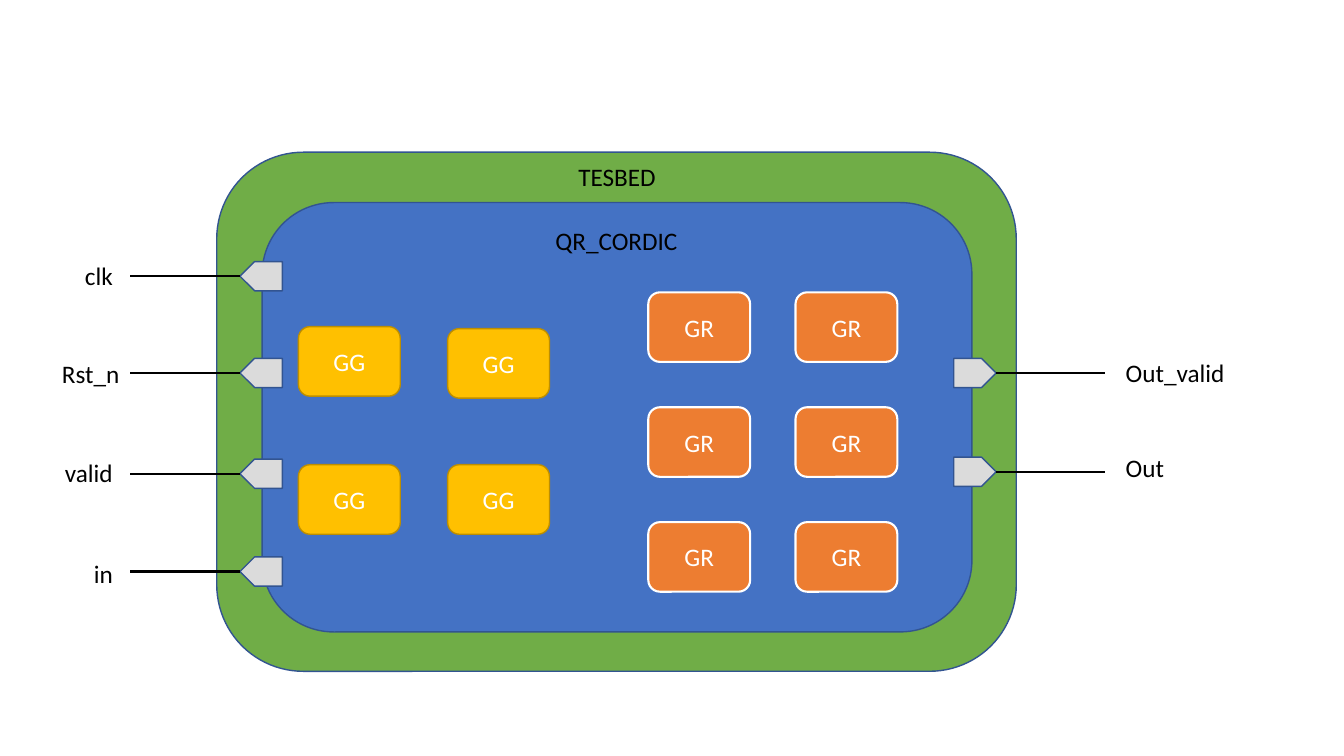
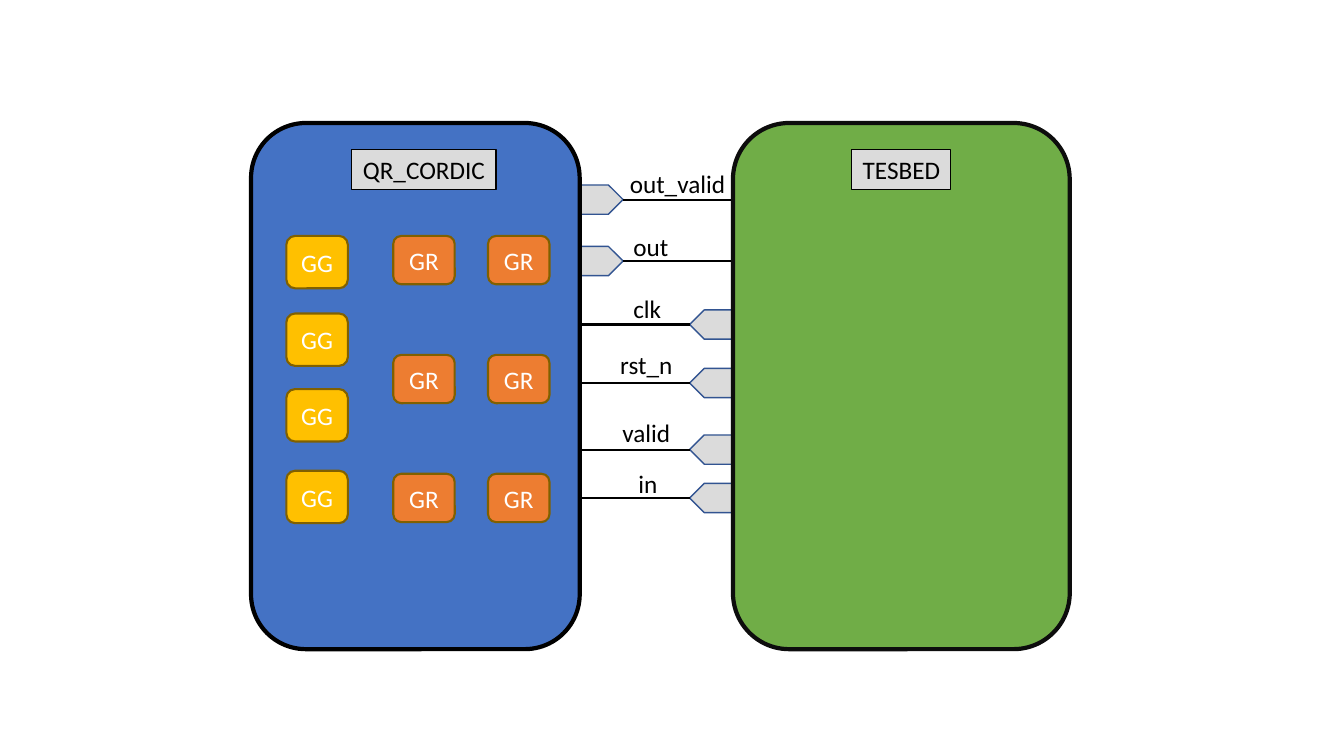
from pptx import Presentation
from pptx.dml.color import RGBColor
from pptx.enum.shapes import MSO_CONNECTOR, MSO_SHAPE
from pptx.enum.text import MSO_ANCHOR, PP_ALIGN
from pptx.oxml.ns import qn
from pptx.util import Inches, Pt
from lxml import etree

BLACK = RGBColor(0x00, 0x00, 0x00)
NEAR_BLACK = RGBColor(0x0D, 0x0D, 0x0D)
WHITE = RGBColor(0xFF, 0xFF, 0xFF)
GREEN = RGBColor(0x70, 0xAD, 0x47)
BLUE = RGBColor(0x44, 0x72, 0xC4)
NAVY = RGBColor(0x32, 0x54, 0x91)
GOLD = RGBColor(0xFF, 0xC0, 0x00)
DARK_GOLD = RGBColor(0xBD, 0x8E, 0x00)
BROWN = RGBColor(0x80, 0x60, 0x00)
ORANGE = RGBColor(0xED, 0x7D, 0x31)
GRAY = RGBColor(0xDB, 0xDB, 0xDB)

ROUNDED = MSO_SHAPE.ROUNDED_RECTANGLE
PORT_WIDTH, PORT_HEIGHT = 0.42, 0.29
LABEL_HEIGHT = 0.4


def add_box(page, at, text="", kind=None, fill=None, line=None, weight=1,
            color=BLACK, wrap=False):
    """Add a filled shape, or a plain text box when no kind is given."""
    place = [Inches(length) for length in at]
    if kind is None:
        box = page.shapes.add_textbox(*place)
    else:
        box = page.shapes.add_shape(kind, *place)
        box.shadow.inherit = False
        box.fill.solid()
        box.fill.fore_color.rgb = fill
        box.line.color.rgb = line
        box.line.width = Pt(weight)
    if text:
        frame = box.text_frame
        frame.word_wrap = wrap
        frame.vertical_anchor = MSO_ANCHOR.MIDDLE
        frame.text = text
        para = frame.paragraphs[0]
        para.alignment = PP_ALIGN.CENTER
        span = para.runs[0]
        span.font.name = "Calibri"
        span.font.size = Pt(18)
        span.font.color.rgb = color
    return box


def add_port(page, left, middle, wire_end, label, label_left, label_top, label_width):
    """Add a port pointing towards its wire, the wire and the signal name."""
    port = add_box(page, (left, middle - PORT_HEIGHT / 2, PORT_WIDTH, PORT_HEIGHT),
                   kind=MSO_SHAPE.PENTAGON, fill=GRAY, line=NAVY)
    tip = left + PORT_WIDTH
    if wire_end < left:
        port.rotation = 180
        tip = left
    wire = page.shapes.add_connector(MSO_CONNECTOR.STRAIGHT, Inches(tip), Inches(middle),
                                     Inches(wire_end), Inches(middle))
    wire.line.color.rgb = BLACK
    wire.line.width = Pt(1.5)
    etree.SubElement(wire._element.spPr, qn("a:effectLst"))
    add_box(page, (label_left, label_top, label_width, LABEL_HEIGHT), label)


deck = Presentation()
deck.slide_width, deck.slide_height = Inches(13.33), Inches(7.5)
blank = deck.slide_layouts[6]

# Slide 1: design nested inside the test bed
page = deck.slides.add_slide(blank)
add_box(page, (2.15, 1.51, 7.93, 5.15), kind=ROUNDED, fill=GREEN, line=NAVY)
add_box(page, (2.6, 2.01, 7.04, 4.26), kind=ROUNDED, fill=BLUE, line=NAVY)
add_box(page, (5.4, 2.19, 1.43, LABEL_HEIGHT), "QR_CORDIC")
add_box(page, (5.63, 1.55, 0.98, LABEL_HEIGHT), "TESBED")

# Processing cells
for left, top in [(2.96, 3.24), (2.96, 4.61), (4.44, 3.26), (4.44, 4.61)]:
    add_box(page, (left, top, 1.01, 0.69), "GG", ROUNDED, GOLD, DARK_GOLD, 1, WHITE, True)
for left in (6.43, 7.89):
    for row in range(3):
        add_box(page, (left, 2.9 + 1.14 * row, 1.01, 0.69), "GR", ROUNDED,
                ORANGE, WHITE, 1.5, WHITE, True)

# Inputs on the left, outputs on the right
for middle, *label in [(2.74, "clk", 0.74, 2.53, 0.48), (3.7, "Rst_n", 0.51, 3.5, 0.78),
                       (4.7, "valid", 0.54, 4.49, 0.68), (5.67, "in", 0.83, 5.49, 0.39)]:
    add_port(page, 2.38, middle, 1.29, *label)
for middle, *label in [(3.7, "Out_valid", 11.06, 3.49, 1.19),
                       (4.68, "Out", 11.06, 4.44, 0.59)]:
    add_port(page, 9.46, middle, 10.96, *label)

# Slide 2: design and test bed side by side
page = deck.slides.add_slide(blank)

# Signals between the two modules
for middle, *label in [(3.22, "clk", 6.18, 2.86, 0.48), (3.8, "rst_n", 6.05, 3.42, 0.72),
                       (4.46, "valid", 6.07, 4.09, 0.68), (4.94, "in", 6.23, 4.6, 0.39)]:
    add_port(page, 6.84, middle, 5.75, *label)
for middle, *label in [(1.98, "out_valid", 6.14, 1.62, 1.16),
                       (2.59, "out", 6.18, 2.24, 0.55)]:
    add_port(page, 5.76, middle, 7.27, *label)

# Modules with their name plates
for left, width, fill, line, name, name_left, name_width in [
        (2.49, 3.26, BLUE, BLACK, "QR_CORDIC", 3.49, 1.43),
        (7.27, 3.34, GREEN, NEAR_BLACK, "TESBED", 8.45, 0.98)]:
    add_box(page, (left, 1.22, width, 5.22), kind=ROUNDED, fill=fill, line=line, weight=3)
    add_box(page, (name_left, 1.48, name_width, LABEL_HEIGHT), name,
            MSO_SHAPE.RECTANGLE, GRAY, BLACK, 0.75)

# Processing cells
for top in (2.34, 3.11, 3.86, 4.67):
    add_box(page, (2.84, top, 0.61, 0.52), "GG", ROUNDED, GOLD, BROWN, 1.5, WHITE, True)
for left in (3.9, 4.84):
    for row in range(3):
        add_box(page, (left, 2.34 + 1.18 * row, 0.61, 0.48), "GR", ROUNDED,
                ORANGE, BROWN, 1.5, WHITE, True)

deck.save("out.pptx")
